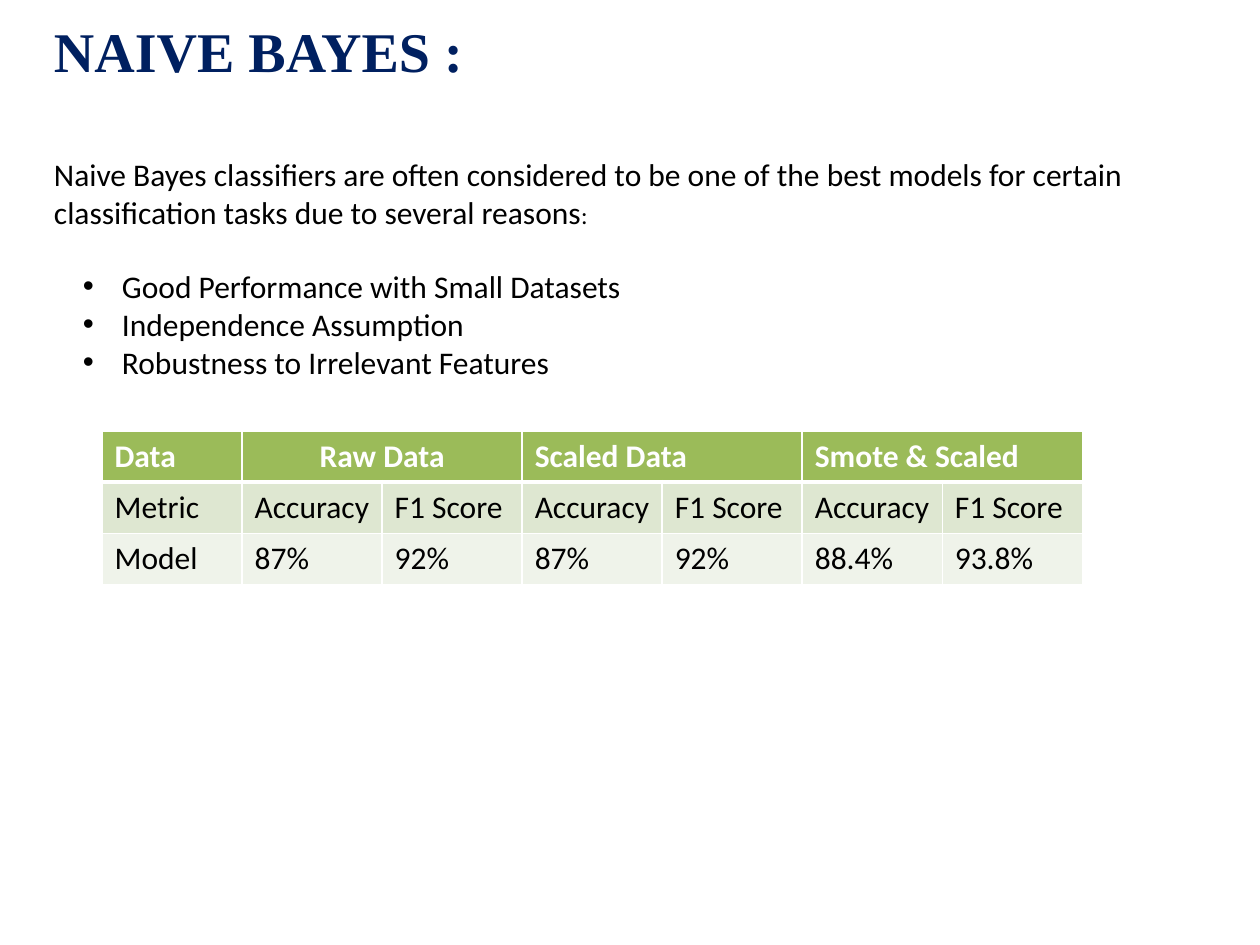
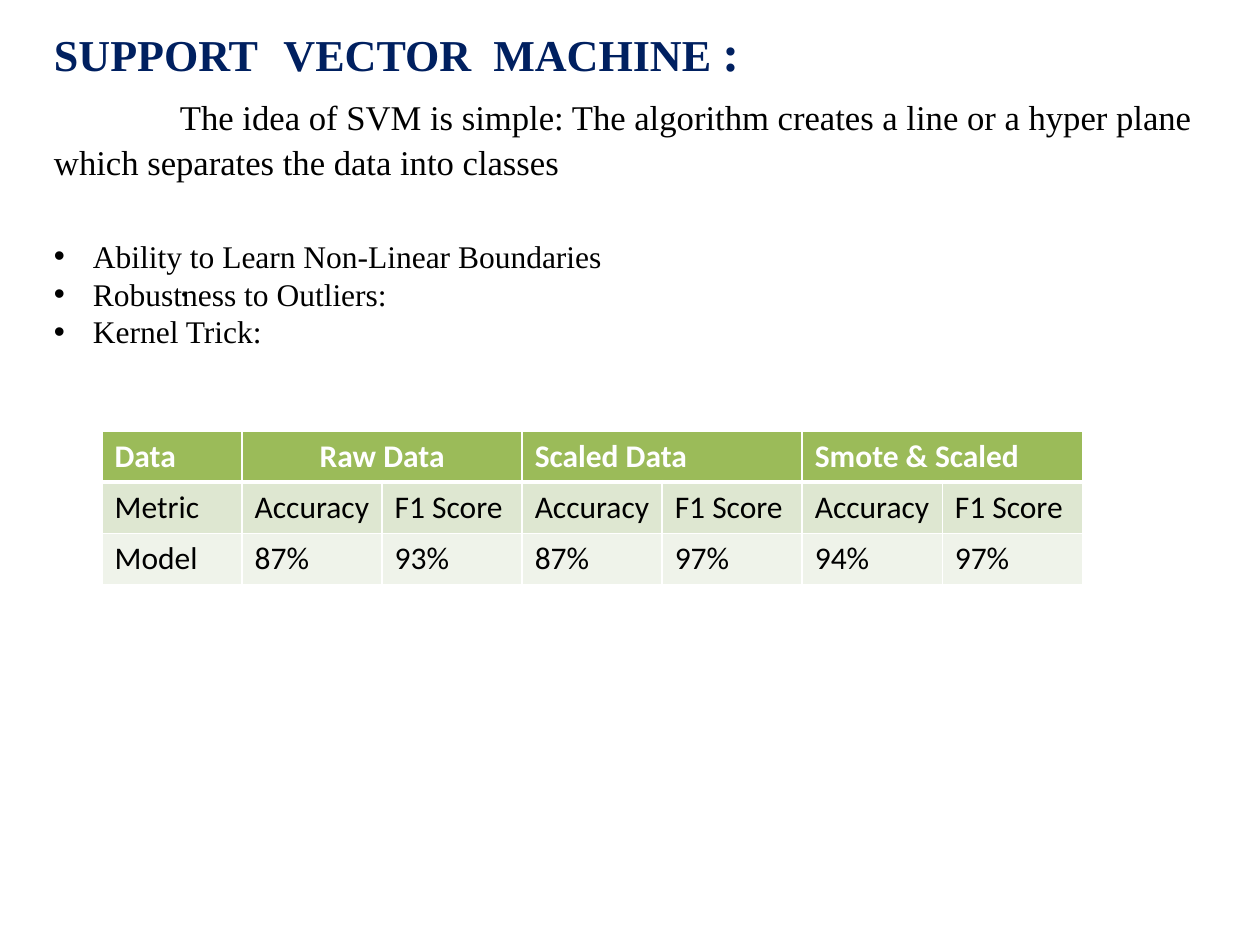
from dataclasses import dataclass

from lxml.etree import SubElement
from pptx import Presentation
from pptx.dml.color import RGBColor
from pptx.enum.text import PP_ALIGN as Align
from pptx.oxml.ns import qn
from pptx.util import Inches, Pt


@dataclass(frozen=True)
class Theme:
    title: str = "002060"
    text: str = "000000"
    white: str = "FFFFFF"
    header: str = "9BBB59"
    bands: tuple = ("DEE7D1", "EFF3EA")
    sans: str = "Calibri"
    serif: str = "Times New Roman"
    body_size: float = 18
    intro_size: float = 19.8
    small_size: float = 14
    title_size: float = 32
    long_title_size: float = 25.2
    long_title_accent: float = 28.8
    thin_border: float = 1
    thick_border: float = 3


THEME = Theme()
GROUPS = ("Raw Data", "Scaled Data", "Smote & Scaled")
METRICS = ("Accuracy", "F1 Score")


class Deck:
    def __init__(self, theme):
        self.theme = theme
        self.presentation = Presentation()
        self.presentation.slide_width = Inches(10)
        self.presentation.slide_height = Inches(7.5)
        self.slide = None

    def add_slide(self):
        layout = self.presentation.slide_layouts[6]
        self.slide = self.presentation.slides.add_slide(layout)

    def style(self, paragraph, font, size, color, bold=False):
        paragraph.font.name = font
        paragraph.font.size = Pt(size)
        paragraph.font.color.rgb = RGBColor.from_string(color)
        paragraph.font.bold = bold

    def text_frame(self, left, top, width, height):
        box = self.slide.shapes.add_textbox(
            Inches(left), Inches(top), Inches(width), Inches(height))
        box.text_frame.word_wrap = True
        return box.text_frame

    def title(self, frame, runs, size):
        """Fill the first paragraph with (text, size) runs; size None keeps the paragraph's."""
        paragraph = frame.paragraphs[0]
        self.style(paragraph, self.theme.serif, size, self.theme.title, bold=True)
        self.runs(paragraph, runs)

    def body(self, frame, runs, font, size, space_before, indent=0, line_spacing=1.0):
        paragraph = frame.add_paragraph()
        self.style(paragraph, font, size, self.theme.text)
        paragraph.space_before = Pt(space_before)
        paragraph.line_spacing = line_spacing
        paragraph._p.get_or_add_pPr().set("indent", str(Inches(indent)))
        self.runs(paragraph, runs)

    def runs(self, paragraph, runs):
        for text, size in runs:
            run = paragraph.add_run()
            run.text = text
            if size:
                run.font.size = Pt(size)

    def bullets(self, left, top, width, items, font):
        frame = self.text_frame(left, top, width, 1.01)
        for index, item in enumerate(items):
            paragraph = frame.add_paragraph() if index else frame.paragraphs[0]
            paragraph.text = item
            self.style(paragraph, font, self.theme.body_size, self.theme.text)
            properties = paragraph._p.get_or_add_pPr()
            properties.set("marL", str(Inches(0.31)))
            properties.set("indent", str(Inches(-0.31)))
            SubElement(properties, qn("a:buFont"), typeface="Arial")
            SubElement(properties, qn("a:buChar"), char="•")

    def borders(self, cell, row):
        """Draw white cell borders, thick between the header and the first body row."""
        thick_side = {0: "lnB", 1: "lnT"}.get(row)
        for side in ("lnL", "lnR", "lnT", "lnB"):
            width = self.theme.thick_border if side == thick_side else self.theme.thin_border
            line = SubElement(cell._tc.get_or_add_tcPr(), qn(f"a:{side}"), w=str(Pt(width)))
            fill = SubElement(line, qn("a:solidFill"))
            SubElement(fill, qn("a:srgbClr"), val=self.theme.white)

    def score_table(self, scores):
        header = ["Data"]
        for group in GROUPS:
            header += [group, ""]
        rows = [header, ["Metric", *METRICS * len(GROUPS)], ["Model", *scores]]
        table = self.slide.shapes.add_table(
            len(rows), len(header), Inches(0.81), Inches(3.42),
            Inches(7.78), Inches(1.22)).table
        table.horz_banding = False
        fills = (self.theme.header, *self.theme.bands)
        for row, (texts, fill) in enumerate(zip(rows, fills)):
            is_header = row == 0
            color = self.theme.white if is_header else self.theme.text
            for column, text in enumerate(texts):
                cell = table.cell(row, column)
                cell.text = text
                self.style(cell.text_frame.paragraphs[0], self.theme.sans,
                           self.theme.body_size, color, bold=is_header)
                self.borders(cell, row)
                cell.fill.solid()
                cell.fill.fore_color.rgb = RGBColor.from_string(fill)
        for column in range(1, len(header), len(METRICS)):
            table.cell(0, column).merge(table.cell(0, column + 1))
        table.cell(0, 1).text_frame.paragraphs[0].alignment = Align.CENTER


def add_naive_bayes(deck):
    theme = deck.theme
    deck.add_slide()
    frame = deck.text_frame(0.33, 0.08, 9.42, 1.78)
    deck.title(frame, [("NAIVE BAYES :", None)], theme.title_size)
    deck.body(frame, [
        ("Naive Bayes classifiers are often considered to be one of the best models "
         "for certain classification tasks due to several reasons", None),
        (":", theme.small_size),
    ], theme.sans, theme.body_size, space_before=41)
    deck.bullets(0.56, 2.07, 4.52, [
        "Good Performance with Small Datasets",
        "Independence Assumption",
        "Robustness to Irrelevant Features",
    ], theme.sans)
    deck.score_table(["87%", "92%", "87%", "92%", "88.4%", "93.8%"])


def add_support_vector_machine(deck):
    theme = deck.theme
    deck.add_slide()
    frame = deck.text_frame(0.33, 0.12, 9.65, 2.25)
    deck.title(frame, [
        ("SUPPORT", None),
        ("  ", theme.long_title_accent),
        ("VECTOR  MACHINE ", None),
        (":", theme.long_title_accent),
    ], theme.long_title_size)
    paragraphs = (
        ("The idea of SVM is simple: The algorithm creates a line or a hyper plane "
         "which separates the data into classes", 5.5),
        (".", 43),
    )
    for text, space_before in paragraphs:
        deck.body(frame, [(text, None)], theme.serif, theme.intro_size,
                  space_before, indent=1, line_spacing=1.1)
    deck.bullets(0.33, 1.83, 4.66, [
        "Ability to Learn Non-Linear Boundaries",
        "Robustness to Outliers:",
        "Kernel Trick:",
    ], theme.serif)
    deck.score_table(["87%", "93%", "87%", "97%", "94%", "97%"])


def main():
    deck = Deck(THEME)
    add_naive_bayes(deck)
    add_support_vector_machine(deck)
    deck.presentation.save("out.pptx")


if __name__ == "__main__":
    main()
